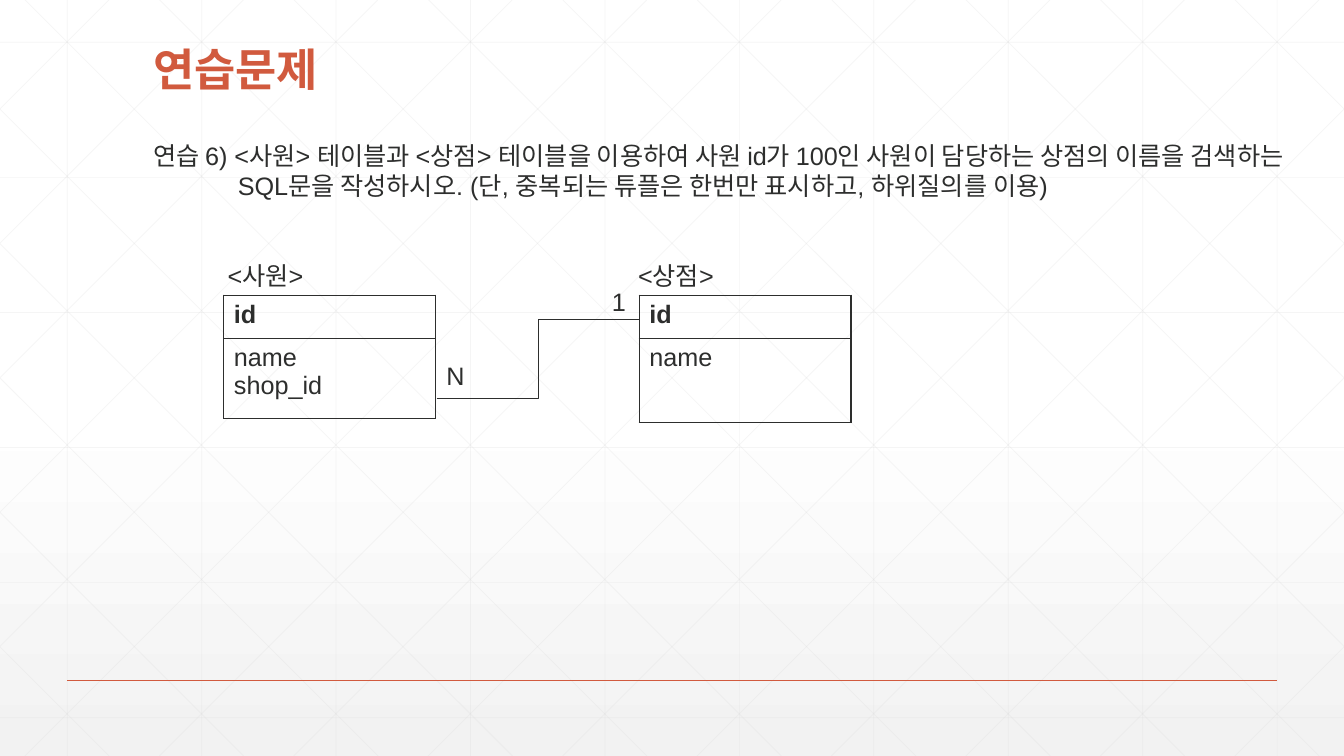
from copy import deepcopy

from lxml import etree
from pptx import Presentation
from pptx.dml.color import RGBColor
from pptx.enum.shapes import MSO_CONNECTOR
from pptx.enum.text import MSO_ANCHOR, PP_ALIGN
from pptx.oxml.ns import qn
from pptx.util import Inches, Pt

STRAIGHT, ELBOW = MSO_CONNECTOR.STRAIGHT, MSO_CONNECTOR.ELBOW
BOTTOM, LEFT = MSO_ANCHOR.BOTTOM, PP_ALIGN.LEFT
WIDTH, HEIGHT = 13.33, 7.5
INK, ACCENT, GRID = "2D2E2D", "D15A3E", "D9D9D9"
STEP = 4 / 3  # width of one grid column


def rgb(color):
    return RGBColor.from_string(color)


def add_line(kind, start, end, color, weight):
    line = slide.shapes.add_connector(kind, *map(Inches, start + end))
    line.line.color.rgb = rgb(color)
    line.line.width = Pt(weight)
    etree.SubElement(line._element.spPr, qn("a:effectLst"))
    return line


presentation = Presentation()
presentation.slide_width, presentation.slide_height = Inches(WIDTH), Inches(HEIGHT)
slide = presentation.slides.add_slide(presentation.slide_layouts[5])

# Background: white, fading to light grey in the lower half
background = slide.background.fill
background.gradient()
background.gradient_angle = 270
first_stop, last_stop = background.gradient_stops
first_stop.color.rgb, last_stop.color.rgb = rgb("FFFFFF"), rgb("F2F2F2")
first_stop.position, last_stop.position = 0, 1
stop_list = slide._element.find(".//" + qn("a:gsLst"))
middle_stop = deepcopy(stop_list[0])
middle_stop.set("pos", "53000")
stop_list.insert(1, middle_stop)

# Background grid: columns, rows, and diagonals clipped to the slide
grid_lines = []
for column in range(10):
    x = STEP * (column + 0.5)
    grid_lines.append(((x, 0), (x, HEIGHT)))
for row in range(6):
    y = 0.42 + 1.34 * row
    grid_lines.append(((0, y), (WIDTH, y)))
for diagonal in range(-5, 10):
    x = 0.25 + STEP * diagonal
    left, right = max(x, 0), min(x + HEIGHT, WIDTH)
    top, bottom = left - x, right - x
    grid_lines.append(((left, top), (right, bottom)))
    grid_lines.append(((WIDTH - left, top), (WIDTH - right, bottom)))
for start, end in grid_lines:
    line = add_line(STRAIGHT, start, end, GRID, 0.5)
    color_element = line._element.find(".//" + qn("a:ln")).find(".//" + qn("a:srgbClr"))
    etree.SubElement(color_element, qn("a:alpha"), val="25000")

# Footer rule
add_line(STRAIGHT, (STEP / 2, 0.9 * HEIGHT), (STEP * 9.5, 0.9 * HEIGHT), ACCENT, 1)

# Title, in front of the grid
title = slide.shapes.title
slide.shapes._spTree.append(title._element)
title.left, title.top, title.width, title.height = map(Inches, (1.42, 0.39, 10.5, 0.61))
title.text_frame.text = "연습문제"
title.text_frame.vertical_anchor = BOTTOM
paragraph = title.text_frame.paragraphs[0]
paragraph.alignment, paragraph.line_spacing = LEFT, 0.9
paragraph.font.name, paragraph.font.size, paragraph.font.bold = "Arial", Pt(32), True
paragraph.font.color.rgb = rgb(ACCENT)

# Question, table names and cardinalities
QUESTION = (
    "연습 6) <사원> 테이블과 <상점> 테이블을 이용하여 사원 id가 100인 사원이 담당하는 "
    "상점의 이름을 검색하는 SQL문을 작성하시오. (단, 중복되는 튜플은 한번만 표시하고, "
    "하위질의를 이용)"
)
texts = [
    (QUESTION, 1.42, 1.34, 11.57, 2.52),
    ("<사원>", 2.16, 2.53, 1.07, 0.4),
    ("<상점>", 6.23, 2.53, 1.07, 0.4),
    ("N", 4.33, 3.53, 0.45, 0.4),
    ("1", 5.97, 2.79, 0.34, 0.4),
]
for text, *box in texts:
    frame = slide.shapes.add_textbox(*map(Inches, box)).text_frame
    frame.word_wrap = text == QUESTION
    frame.text = text
    paragraph = frame.paragraphs[0]
    paragraph.font.name, paragraph.font.size = "Arial", Pt(18)
    paragraph.font.color.rgb = rgb(INK)
    if text == QUESTION:
        properties = paragraph._p.get_or_add_pPr()
        properties.set("marL", str(Inches(0.84)))
        properties.set("indent", str(Inches(-0.84)))

# Entity tables: key row above attribute row
entities = [(2.22, 0.79, "name\nshop_id"), (6.34, 0.83, "name")]
for left, attribute_height, attributes in entities:
    heights = (0.43, attribute_height)
    table = slide.shapes.add_table(
        2, 1, *map(Inches, (left, 2.93, 2.1, sum(heights)))
    ).table
    table.first_row = table.horz_banding = False
    for row, (height, text) in enumerate(zip(heights, ("id", attributes))):
        table.rows[row].height = Inches(height)
        cell = table.cell(row, 0)
        cell.text = text
        for paragraph in cell.text_frame.paragraphs:
            paragraph.font.name, paragraph.font.size = "Arial", Pt(18)
            paragraph.font.bold = row == 0
            paragraph.font.color.rgb = rgb(INK)
        cell_properties = cell._tc.get_or_add_tcPr()
        for side in ("a:lnL", "a:lnR", "a:lnT", "a:lnB"):
            border = etree.SubElement(cell_properties, qn(side), w=str(Pt(1)))
            border_fill = etree.SubElement(border, qn("a:solidFill"))
            etree.SubElement(border_fill, qn("a:srgbClr"), val=INK)
        cell.fill.background()

# Relationship between the entities
add_line(ELBOW, (4.33, 3.95), (6.34, 3.17), INK, 0.5)

presentation.save("out.pptx")
